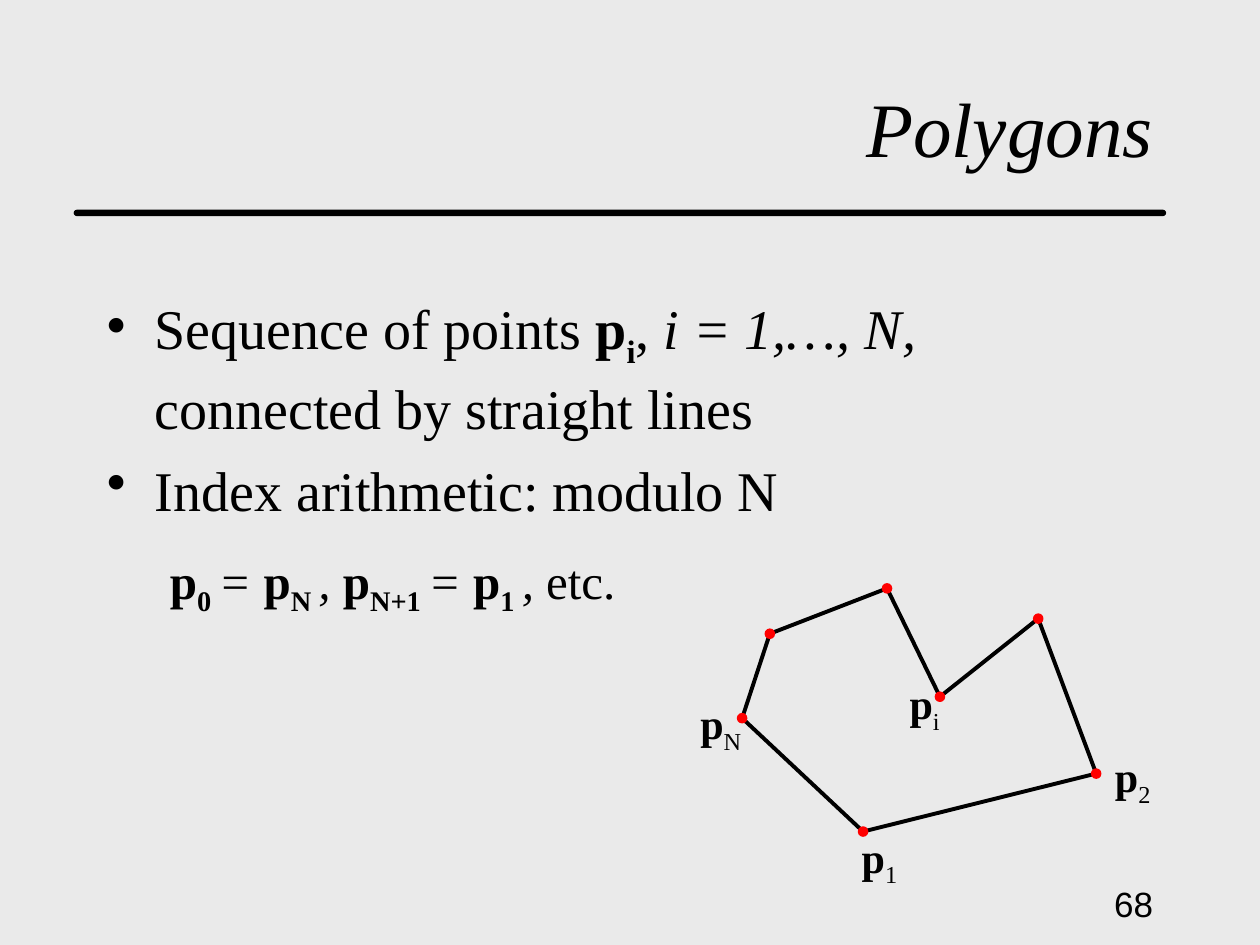
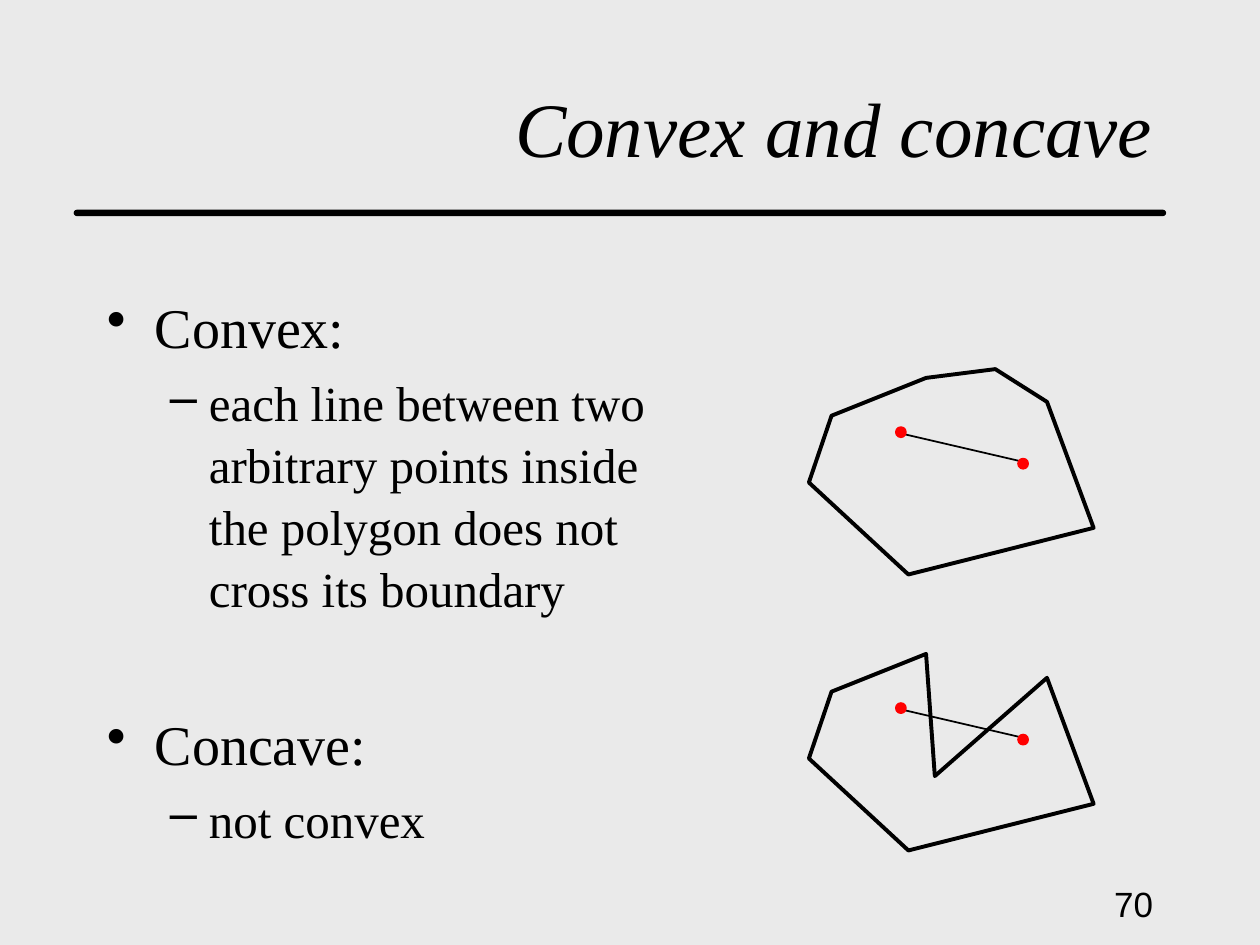
from lxml import etree
from pptx import Presentation
from pptx.dml.color import RGBColor
from pptx.enum import shapes, text
from pptx.oxml import ns
from pptx.util import Inches, Pt

PAPER = RGBColor(0xEA, 0xEA, 0xEA)
INK = RGBColor(0, 0, 0)
RED = RGBColor(0xFF, 0, 0)
SERIF, SANS = "Times New Roman", "Arial"

PLAIN = {}
BOLD = {"bold": True}
ITALIC = {"italic": True}
SUB = {"subscript": True}
BOLD_SUB = {**BOLD, **SUB}

# Per level: size, left margin, first-line indent
LEVELS = [(32, 0.38, -0.38), (28, 0.81, -0.31)]

# Body paragraphs: level, bullet, space before, spans
PAGES = [
    {"title": "Polygons", "number": "68", "body_size": (8.5, 1.5), "body": [
        (0, "•", 0, [("Sequence of points ", PLAIN), ("p", BOLD), ("i", BOLD_SUB), (", ", PLAIN),
                     ("i = 1,…, N, ", ITALIC), ("connected by straight lines", PLAIN)]),
        (0, "•", 6.4, [("Index arithmetic: modulo N", PLAIN)]),
        (1, None, 14, [("p", BOLD), ("0 ", BOLD_SUB), ("= ", ITALIC), ("p", BOLD), ("N ", BOLD_SUB),
                       (", ", ITALIC), ("p", BOLD), ("N+1 ", BOLD_SUB), ("= ", ITALIC),
                       ("p", BOLD), ("1 ", BOLD_SUB), (", ", ITALIC), ("etc.", PLAIN)]),
    ]},
    {"title": "Convex and concave", "number": "70", "body_size": (4.92, 4.5), "body": [
        (0, "•", 0, [("Convex:", PLAIN)]),
        (1, "–", 5.6, [("each line between two arbitrary points inside the polygon "
                        "does not cross its boundary", PLAIN)]),
        (0, "•", 51, [("Concave:", PLAIN)]),
        (1, "–", 5.6, [("not convex", PLAIN)]),
    ]},
]


def write(para, spans, size, face=SERIF):
    """Add formatted spans to a paragraph; each is a text and its format values."""
    for words, extra in spans:
        span = para.add_run()
        span.text = words
        values = {"name": face, "size": Pt(size), "bold": False, "italic": False, **extra}
        if values.pop("subscript", False):
            span.font._element.set("baseline", "-25000")
        for name, value in values.items():
            setattr(span.font, name, value)
        span.font.color.rgb = INK


def draw(page, outline, dots, diameter):
    """Draw a closed polygon and red dots centred on the given points."""
    points = [(Inches(x), Inches(y)) for x, y in outline]
    builder = page.shapes.build_freeform(*points[0])
    builder.add_line_segments(points[1:], close=True)
    polygon = builder.convert_to_shape()
    polygon.shadow.inherit = False
    polygon.fill.background()
    polygon.line.color.rgb = INK
    polygon.line.width = Pt(2.25)
    for x, y in dots:
        dot = page.shapes.add_shape(
            shapes.MSO_SHAPE.OVAL, Inches(x - diameter / 2), Inches(y - diameter / 2),
            Inches(diameter), Inches(diameter))
        dot.shadow.inherit = False
        dot.fill.solid()
        dot.fill.fore_color.rgb = RED
        dot.line.color.rgb = RED
        dot.line.width = Pt(1)


deck = Presentation()
deck.slide_width, deck.slide_height = Inches(10), Inches(7.5)
layout = deck.slide_layouts[5]
layout.background.fill.solid()
layout.background.fill.fore_color.rgb = PAPER

# Shared frame and body text
for content in PAGES:
    page = deck.slides.add_slide(layout)

    rule = page.shapes.add_shape(shapes.MSO_SHAPE.ROUNDED_RECTANGLE,
                                 Inches(0.59), Inches(1.67), Inches(8.66), Inches(0.04))
    rule.adjustments[0] = 0.5
    rule.shadow.inherit = False
    rule.fill.solid()
    rule.fill.fore_color.rgb = INK
    rule.line.color.rgb = INK
    rule.line.width = Pt(0.75)

    title = page.shapes.title
    title.left, title.top, title.width, title.height = map(Inches, (0.75, 0.42, 8.5, 1))
    title.text_frame.auto_size = text.MSO_AUTO_SIZE.NONE
    title.text_frame.vertical_anchor = text.MSO_ANCHOR.BOTTOM
    heading = title.text_frame.paragraphs[0]
    heading.alignment = text.PP_ALIGN.RIGHT
    write(heading, [(content["title"], ITALIC)], 44)

    number = page.shapes.add_textbox(Inches(7.17), Inches(6.92), Inches(2.08), Inches(0.5))
    number.text_frame.word_wrap = True
    number.text_frame.vertical_anchor = text.MSO_ANCHOR.MIDDLE
    para = number.text_frame.paragraphs[0]
    para.alignment = text.PP_ALIGN.RIGHT
    write(para, [(content["number"], PLAIN)], 20, SANS)

    width, height = content["body_size"]
    body = page.shapes.add_textbox(Inches(0.75), Inches(2.25), Inches(width), Inches(height))
    body.text_frame.word_wrap = True
    for index, (level, bullet, before, spans) in enumerate(content["body"]):
        para = body.text_frame.add_paragraph() if index else body.text_frame.paragraphs[0]
        size, margin, indent = LEVELS[level]
        para.level = level
        para.line_spacing = 1.05
        para.space_before = Pt(before)
        settings = para._p.get_or_add_pPr()
        settings.set("marL", str(Inches(margin)))
        settings.set("indent", str(Inches(indent)))
        if bullet:
            etree.SubElement(settings, ns.qn("a:buChar")).set("char", bullet)
        else:
            etree.SubElement(settings, ns.qn("a:buNone"))
        write(para, spans, size)

polygon_page, convexity_page = deck.slides

# Polygon with labelled vertices
vertices = [(5.89, 5.7), (6.11, 5.03), (7.04, 4.67), (7.46, 5.53),
            (8.24, 4.91), (8.7, 6.14), (6.85, 6.6)]
draw(polygon_page, vertices, vertices, 0.07)
for subscript, left, top in [("1", 6.74, 6.55), ("2", 8.75, 5.91), ("N", 5.46, 5.49), ("i", 7.12, 5.33)]:
    label = polygon_page.shapes.add_textbox(Inches(left), Inches(top), Inches(0.55), Inches(0.5))
    label.text_frame.word_wrap = False
    write(label.text_frame.paragraphs[0], [("p", BOLD), (subscript, SUB)], 24)

# Convex above concave: only the upper corner points differ
for top, corners in [(2.93, [(7.9, 0), (8.31, 0.26)]), (5.12, [(7.42, 1.04), (8.31, 0.26)])]:
    outline = [(6.42, 0.9), (6.6, 0.37), (7.35, 0.07), *corners, (8.68, 1.26), (7.21, 1.63)]
    chord = convexity_page.shapes.add_connector(
        shapes.MSO_CONNECTOR.STRAIGHT,
        Inches(7.15), Inches(top + 0.51), Inches(8.14), Inches(top + 0.74))
    chord.line.color.rgb = INK
    chord.line.width = Pt(1)
    etree.SubElement(chord._element.spPr, ns.qn("a:effectLst"))
    draw(convexity_page, [(x, top + y) for x, y in outline],
         [(7.15, top + 0.5), (8.12, top + 0.75)], 0.08)

deck.save("out.pptx")
